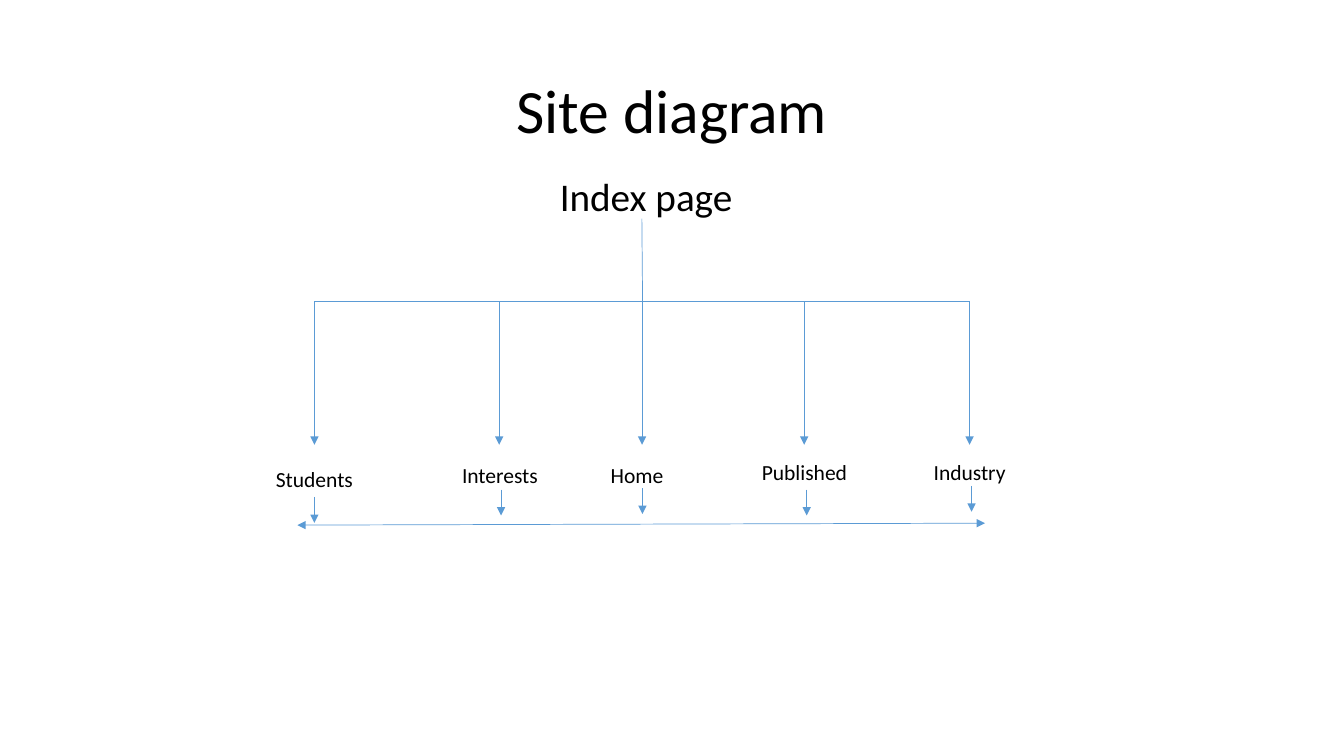
from pptx import Presentation
from pptx import util as u
from pptx.dml.color import RGBColor
from pptx.enum import shapes, text
from pptx.oxml.ns import qn
from lxml import etree


def color(code):
    return RGBColor.from_string(code)


class Diagram:
    """Holds the style and the slide being drawn."""

    font = "Calibri"
    ink = "000000"
    accent = "5B9BD5"
    stroke = 0.5

    def __init__(self, slide):
        self.slide = slide

    def set_wording(self, shape, box, wording, size, spacing, before, anchor):
        shape.left, shape.top, shape.width, shape.height = map(u.Pt, box)
        frame = shape.text_frame
        frame.word_wrap = True
        frame.auto_size = text.MSO_AUTO_SIZE.NONE
        frame.vertical_anchor = anchor
        paragraph = frame.paragraphs[0]
        paragraph.alignment = text.PP_ALIGN.CENTER
        paragraph.line_spacing = spacing
        paragraph.space_before = u.Pt(before)
        run = paragraph.add_run()
        run.text = wording
        run.font.name = self.font
        run.font.size = u.Pt(size)
        run.font.color.rgb = color(self.ink)

    def title(self, box, wording, size):
        self.set_wording(self.slide.shapes.title, box, wording, size, 0.9, 0,
                         text.MSO_ANCHOR.MIDDLE)

    def label(self, box, wording, size, spacing):
        self.set_wording(self.slide.shapes.add_textbox(*map(u.Pt, box)), box,
                         wording, size, spacing, 10, text.MSO_ANCHOR.TOP)

    def line(self, x1, y1, x2, y2, *arrowheads):
        link = self.slide.shapes.add_connector(
            shapes.MSO_CONNECTOR.STRAIGHT, *map(u.Pt, (x1, y1, x2, y2)))
        link.line.width = u.Pt(self.stroke)
        link.line.color.rgb = color(self.accent)
        properties = link._element.spPr
        outline = properties.find(qn("a:ln"))
        for end in arrowheads:
            etree.SubElement(outline, qn(f"a:{end}"), type="triangle")
        etree.SubElement(properties, qn("a:effectLst"))


presentation = Presentation()
presentation.slide_width, presentation.slide_height = u.Pt(960), u.Pt(540)
site = Diagram(presentation.slides.add_slide(presentation.slide_layouts[5]))

site.title((66, 28.75, 828, 104.4), "Site diagram", 44)
site.label((347, 123.1, 235.4, 51.8), "Index page ", 28, 0.9)

branch_y, branch_length, drop_length = 215.5, 102.2, 18.5
label_width, label_height = 134, 21
pages = [
    ("Students", 224.6, 224.6, 334.1, 224.6, 355),
    ("Interests", 356.6, 357.1, 331.4, 357.9, 349.7),
    ("Home", 458.6, 455, 331.2, 458.9, 348.6),
    ("Published", 574.4, 574.6, 329, 576.2, 349.7),
    ("Industry", 692.6, 692.6, 329, 694, 347),
]

site.line(458.5, 156.2, 459, branch_y)
site.line(pages[0][1], branch_y, pages[-1][1], branch_y)
for page, branch_x, label_x, label_y, drop_x, drop_y in pages:
    site.line(branch_x, branch_y, branch_x, branch_y + branch_length, "tailEnd")
    site.label((label_x - label_width / 2, label_y, label_width, label_height),
               page, 15.4, 0.7)
    site.line(drop_x, drop_y, drop_x, drop_y + drop_length, "tailEnd")
site.line(212.4, 375.1, 703.6, 373.7, "headEnd", "tailEnd")

presentation.save("out.pptx")
